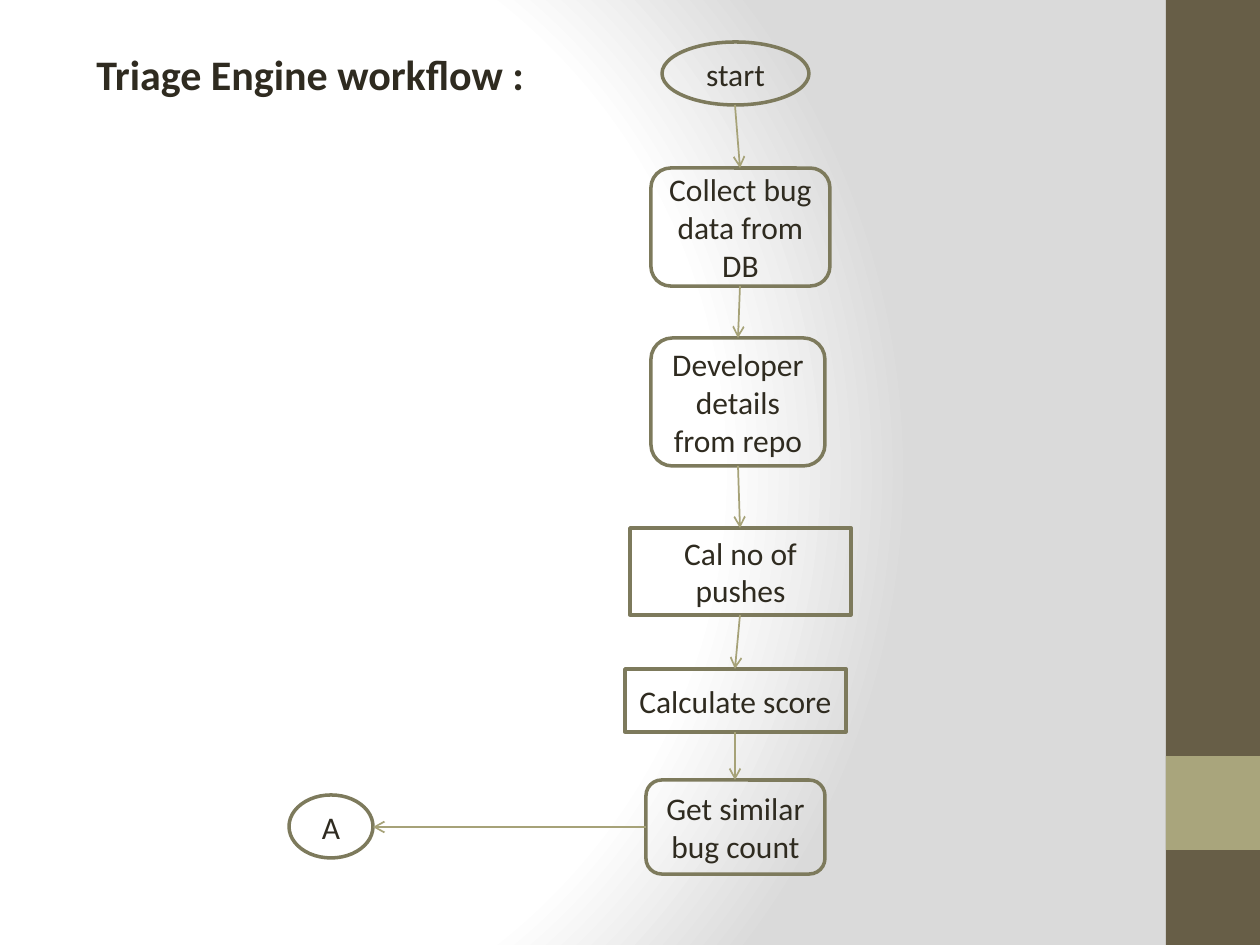
from dataclasses import dataclass

from lxml import etree
from pptx import Presentation
from pptx.dml.color import RGBColor
from pptx.enum.shapes import MSO_CONNECTOR, MSO_SHAPE
from pptx.enum.text import MSO_ANCHOR, MSO_AUTO_SIZE, PP_ALIGN
from pptx.oxml import parse_xml
from pptx.oxml.ns import nsdecls, qn
from pptx.util import Emu, Pt

EMU_PER_PIXEL = 914400 / 126
RECTANGLE = MSO_SHAPE.RECTANGLE
ROUNDED = MSO_SHAPE.ROUNDED_RECTANGLE
OVAL = MSO_SHAPE.OVAL
CONNECTOR_CIRCLE = MSO_SHAPE.FLOWCHART_CONNECTOR
STRAIGHT = MSO_CONNECTOR.STRAIGHT
CENTER = PP_ALIGN.CENTER
MIDDLE = MSO_ANCHOR.MIDDLE
GROW = MSO_AUTO_SIZE.SHAPE_TO_FIT_TEXT

TEXT_COLOR = "2F2B20"
OUTLINE_COLOR = "7D7A5C"
ARROW_COLOR = "A6A278"
STEP_FONT = {"name": "Calibri", "size": Pt(18)}
TITLE_FONT = {"name": "Calibri", "size": Pt(24), "bold": True}
BACKGROUND_STOPS = ((0, "FFFFFF"), (75, "FFFFFF"), (100, "DADADA"))


@dataclass(frozen=True)
class Box:
    left: int
    top: int
    width: int
    height: int

    @property
    def center_x(self) -> int:
        return self.left + self.width // 2

    @property
    def center_y(self) -> int:
        return self.top + self.height // 2

    @property
    def bottom(self) -> int:
        return self.top + self.height

    @property
    def right(self) -> int:
        return self.left + self.width


@dataclass(frozen=True)
class Step:
    text: str
    kind: MSO_SHAPE
    box: Box


@dataclass(frozen=True)
class Band:
    box: Box
    color: str


BANDS = (
    Band(Box(1166, 0, 94, 945), "675E47"),
    Band(Box(1166, 756, 94, 94), "A9A57C"),
)
TITLE_BOX = Box(84, 42, 494, 63)
STEPS = (
    Step("start", OVAL, Box(662, 42, 147, 63)),
    Step("Collect bug data from DB", ROUNDED, Box(651, 168, 179, 118)),
    Step("Developer details from repo", ROUNDED, Box(651, 338, 174, 128)),
    Step("Cal no of pushes", RECTANGLE, Box(630, 528, 221, 87)),
    Step("Calculate score", RECTANGLE, Box(625, 669, 221, 63)),
    Step("Get similar bug count", ROUNDED, Box(646, 780, 179, 94)),
)
EXIT = Step("A", CONNECTOR_CIRCLE, Box(289, 795, 84, 63))


def pixels(*lengths: int) -> list[Emu]:
    return [Emu(round(length * EMU_PER_PIXEL)) for length in lengths]


def color(value: str) -> RGBColor:
    return RGBColor.from_string(value)


def place(box: Box) -> list[Emu]:
    return pixels(box.left, box.top, box.width, box.height)


def write_text(text_frame, text: str, font_values: dict):
    text_frame.word_wrap = True
    paragraph = text_frame.paragraphs[0]
    run = paragraph.add_run()
    run.text = text
    for name, value in font_values.items():
        setattr(run.font, name, value)
    run.font.color.rgb = color(TEXT_COLOR)
    return paragraph


def set_background(slide) -> None:
    stops = "".join(
        f'<a:gs pos="{position * 1000}"><a:srgbClr val="{value}"/></a:gs>'
        for position, value in BACKGROUND_STOPS
    )
    background = parse_xml(
        f'<p:bg {nsdecls("p", "a")}><p:bgPr><a:gradFill rotWithShape="1">'
        f'<a:gsLst>{stops}</a:gsLst><a:path path="circle">'
        '<a:fillToRect l="20000" t="50000" r="100000" b="50000"/></a:path>'
        "</a:gradFill><a:effectLst/></p:bgPr></p:bg>"
    )
    slide.element.find(qn("p:cSld")).insert(0, background)


def add_band(slide, band: Band) -> None:
    shape = slide.shapes.add_shape(RECTANGLE, *place(band.box))
    shape.shadow.inherit = False
    shape.fill.solid()
    shape.fill.fore_color.rgb = color(band.color)
    shape.line.fill.background()


def add_title(slide) -> None:
    text_box = slide.shapes.add_textbox(*place(TITLE_BOX))
    write_text(text_box.text_frame, "Triage Engine workflow :", TITLE_FONT)
    text_box.text_frame.auto_size = GROW


def add_step(slide, step: Step) -> None:
    shape = slide.shapes.add_shape(step.kind, *place(step.box))
    shape.shadow.inherit = False
    shape.fill.background()
    shape.line.color.rgb = color(OUTLINE_COLOR)
    shape.line.width = Pt(2)
    paragraph = write_text(shape.text_frame, step.text, STEP_FONT)
    paragraph.alignment = CENTER
    shape.text_frame.vertical_anchor = MIDDLE


def add_arrow(slide, start: tuple[int, int], end: tuple[int, int]) -> None:
    connector = slide.shapes.add_connector(STRAIGHT, *pixels(*start, *end))
    connector.line.color.rgb = color(ARROW_COLOR)
    connector.line.width = Pt(1)
    etree.SubElement(connector.line._get_or_add_ln(), qn("a:tailEnd"), type="arrow")
    etree.SubElement(connector._element.spPr, qn("a:effectLst"))


def main() -> None:
    presentation = Presentation()
    presentation.slide_width, presentation.slide_height = pixels(1260, 945)
    slide = presentation.slides.add_slide(presentation.slide_layouts[6])
    set_background(slide)
    for band in BANDS:
        add_band(slide, band)
    add_title(slide)
    for step in (*STEPS, EXIT):
        add_step(slide, step)
    for upper, lower in zip(STEPS, STEPS[1:]):
        add_arrow(
            slide,
            (upper.box.center_x, upper.box.bottom),
            (lower.box.center_x, lower.box.top),
        )
    last = STEPS[-1].box
    add_arrow(slide, (last.left, last.center_y), (EXIT.box.right, last.center_y))
    presentation.save("out.pptx")


main()
